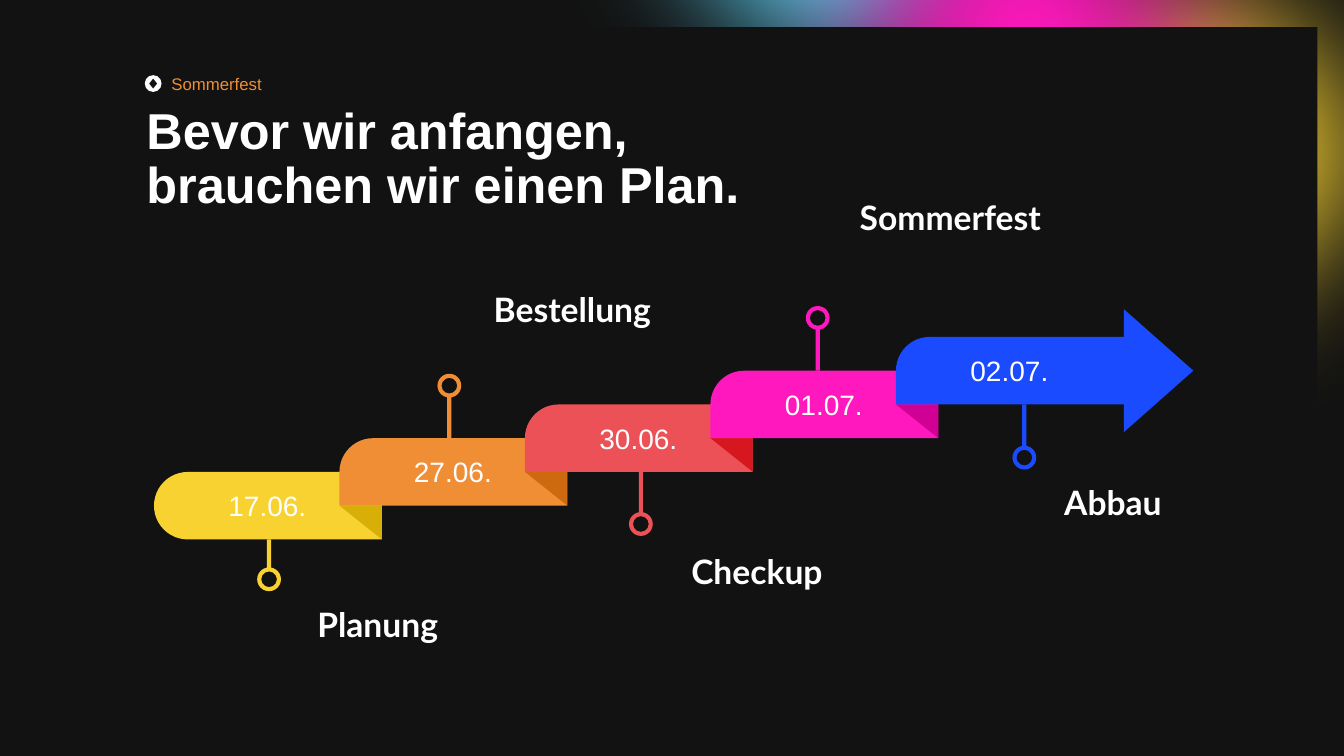
from dataclasses import dataclass

from lxml import etree
from pptx import Presentation
from pptx.dml.color import RGBColor
from pptx.enum.shapes import MSO_SHAPE
from pptx.enum.text import MSO_ANCHOR, MSO_AUTO_SIZE, PP_ALIGN
from pptx.oxml.ns import qn
from pptx.util import Pt

RECT, OVAL = MSO_SHAPE.RECTANGLE, MSO_SHAPE.OVAL
RING, GEM = MSO_SHAPE.DONUT, MSO_SHAPE.DIAMOND
ROUND_ONE = MSO_SHAPE.ROUND_1_RECTANGLE
ROUND_TWO = MSO_SHAPE.ROUND_2_SAME_RECTANGLE
TOP, FIT_NONE = MSO_ANCHOR.TOP, MSO_AUTO_SIZE.NONE
LEFT, CENTER = PP_ALIGN.LEFT, PP_ALIGN.CENTER


@dataclass(frozen=True)
class Theme:
    back: str = "121212"
    white: str = "FFFFFF"
    yellow: str = "F8D230"
    orange: str = "F08E35"
    red: str = "EC5157"
    pink: str = "FF18BD"
    blue: str = "1A4BFF"
    cyan: str = "62D8F9"
    folds: tuple = ("D7AF07", "CD690F", "D6171F", "D10095")
    sans: str = "Arial"
    head: str = "Lato"
    title: int = 36
    label: int = 24
    date: int = 20
    kicker: int = 12


T = Theme()
HUES = (T.yellow, T.orange, T.red, T.pink, T.blue)
START_X, START_Y = 110, 337.1
STEP, RISE = 132.5, 24.1
BAND_W, BAND_H = 162.7, 2 * RISE
DOT, STEM = 17, 3
GLOW, BLUR = 476, 100

STAGES = (
    ("17.06.", "Planung", 192.2, 28.5, 219.6, 421.9, 1.2),
    ("27.06.", "Bestellung", 321, -37.5, 345.6, 197.3, 1.2),
    ("30.06.", "Checkup", 457.8, 37.2, 486.7, 384.5, 1.2),
    ("01.07.", "Sommerfest", 584.1, -37.7, 607, 136.8, 1),
    ("02.07.", "Abbau", 731.7, 38, 753.1, 335.2, 1.2),
)


def paint(shape, hue):
    shape.shadow.inherit = False
    shape.fill.solid()
    shape.fill.fore_color.rgb = RGBColor.from_string(hue)
    shape.line.fill.background()
    return shape


def add_form(slide, kind, x, y, w, h, hue):
    shape = slide.shapes.add_shape(kind, Pt(x), Pt(y), Pt(w), Pt(h))
    return paint(shape, hue)


def add_poly(slide, points, hue):
    spots = [(Pt(x), Pt(y)) for x, y in points]
    pen = slide.shapes.build_freeform(*spots[0])
    pen.add_line_segments(spots[1:], close=True)
    return paint(pen.convert_to_shape(), hue)


def write(frame, text, size, font, bold=False, align=LEFT, space=1):
    frame.word_wrap = True
    frame.auto_size = FIT_NONE
    frame.vertical_anchor = TOP
    para = frame.paragraphs[0]
    para.alignment = align
    para.line_spacing = space
    run = para.add_run()
    run.text = text
    run.font.size = Pt(size)
    run.font.name = font
    run.font.bold = bold
    run.font.color.rgb = RGBColor.from_string(T.white)
    return run


def add_text(slide, x, y, w, h, *words, **style):
    box = slide.shapes.add_textbox(Pt(x), Pt(y), Pt(w), Pt(h))
    return write(box.text_frame, *words, **style)


def blend(run, hues):
    run.font.fill.gradient()
    run.font.fill.gradient_angle = 0
    stops = run.font._element.find(qn("a:gradFill")).find(qn("a:gsLst"))
    for stop in list(stops):
        stops.remove(stop)
    for i, hue in enumerate(hues):
        pos = str(100000 * i // (len(hues) - 1))
        stop = etree.SubElement(stops, qn("a:gs"), pos=pos)
        etree.SubElement(stop, qn("a:srgbClr"), val=hue)


def add_glow(slide, x, y, hue):
    glow = add_form(slide, OVAL, x, y, GLOW, GLOW, hue)
    effects = glow._element.spPr.find(qn("a:effectLst"))
    etree.SubElement(effects, qn("a:softEdge"), rad=str(Pt(BLUR)))


def add_frame(slide):
    slide.background.fill.solid()
    slide.background.fill.fore_color.rgb = RGBColor.from_string(T.back)
    add_glow(slide, 624, -129, T.yellow)
    add_glow(slide, 360, -309, T.cyan)
    add_glow(slide, 495, -210, T.pink)
    add_form(slide, RECT, 375, 19.4, 566, 520.6, T.back)


def add_head(slide):
    title = slide.shapes.title
    title.left, title.top = Pt(97.4), Pt(72)
    title.width, title.height = Pt(486.7), Pt(85.7)
    write(title.text_frame, "Bevor wir anfangen, brauchen wir einen Plan.",
          T.title, T.sans, bold=True, space=0.9)
    slide.shapes._spTree.append(title._element)
    add_form(slide, OVAL, 103.4, 53.7, 12, 12, T.white)
    add_form(slide, GEM, 106.6, 56.2, 5.6, 7, T.back)
    run = add_text(slide, 115.3, 49, 179, 21.6, "Sommerfest", T.kicker, T.sans)
    blend(run, (*HUES, T.cyan))


def add_pin(slide, x, edge, reach, hue):
    end = edge + reach
    stop = end - DOT / 2 + 1 if reach > 0 else end + DOT / 2 - 1
    add_form(slide, RECT, x - STEM / 2, min(edge, stop),
             STEM, abs(stop - edge), hue)
    ring = add_form(slide, RING, x - DOT / 2, end - DOT / 2, DOT, DOT, hue)
    ring.adjustments[0] = 0.17


def add_band(slide, x, y, width, hue, first):
    if first:
        shift = (width - BAND_H) / 2
        band = add_form(slide, ROUND_TWO, x + shift, y - shift,
                        BAND_H, width, hue)
        band.rotation = 270
    else:
        band = add_form(slide, ROUND_ONE, x, y, width, BAND_H, hue)
        band._element.spPr.find(qn("a:xfrm")).set("flipH", "1")
    band.adjustments[0] = 0.5


def add_tip(slide, x, y, hue):
    right, mid = x + BAND_W, y + RISE
    add_poly(slide, ((right, mid - 44), (right + 49.7, mid),
                     (right, mid + 44)), hue)


def add_fold(slide, x, y, hue):
    right, mid = x + BAND_W, y + RISE
    add_poly(slide, ((right, y + BAND_H), (right, mid), (x + STEP, mid)), hue)


def add_stage(slide, i, stage):
    date, name, pin, reach, left, top, space = stage
    x, y, hue = START_X + i * STEP, START_Y - i * RISE, HUES[i]
    last = i == len(T.folds)
    add_pin(slide, pin, y + BAND_H if reach > 0 else y, reach, hue)
    add_band(slide, x, y, BAND_W + 2 * last, hue, i == 0)
    if last:
        add_tip(slide, x, y, hue)
    else:
        add_fold(slide, x, y, T.folds[i])
    add_text(slide, x + 37.5, y + 8.3, 87, 31.7, date, T.date, T.sans,
             align=CENTER)
    add_text(slide, left, top, 169, 40, name, T.label, T.head,
             bold=True, space=space)


def main():
    deck = Presentation()
    deck.slide_width, deck.slide_height = Pt(960), Pt(540)
    slide = deck.slides.add_slide(deck.slide_layouts[5])
    add_frame(slide)
    for i, stage in enumerate(STAGES):
        add_stage(slide, i, stage)
    add_head(slide)
    deck.save("out.pptx")


if __name__ == "__main__":
    main()
